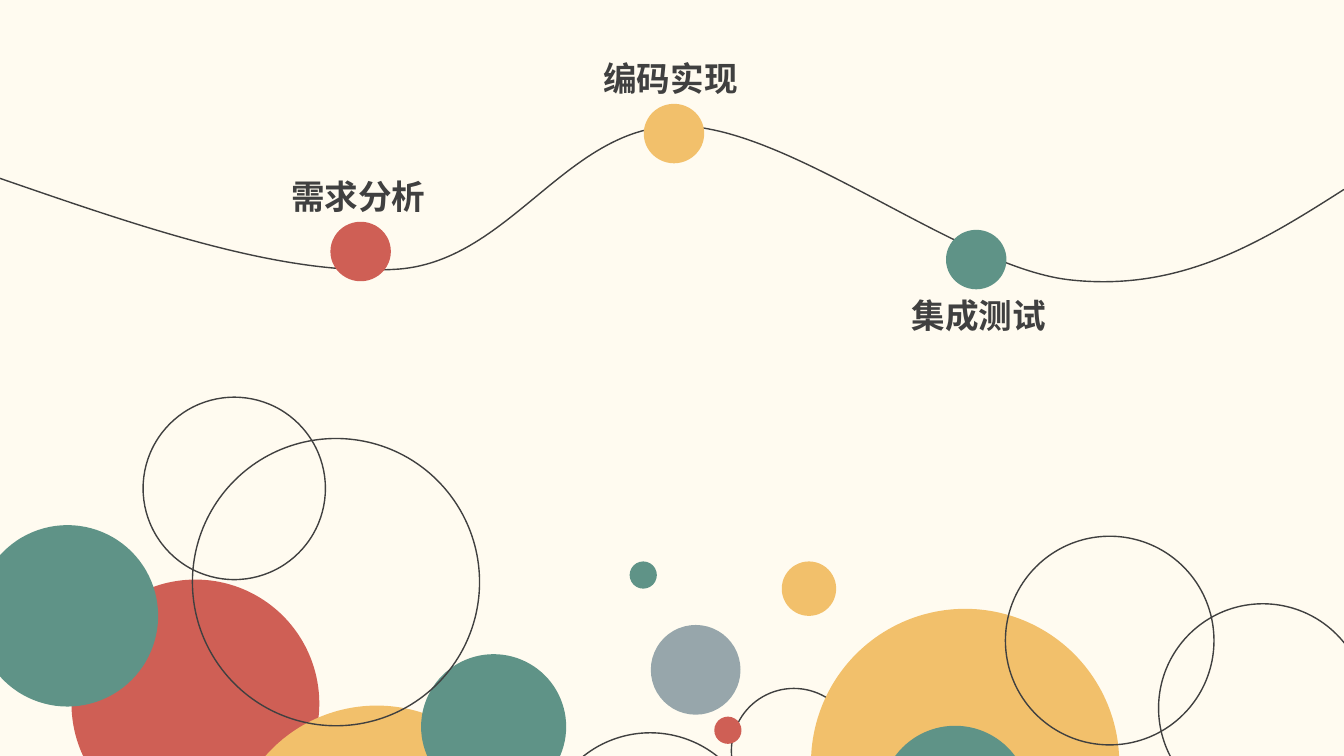
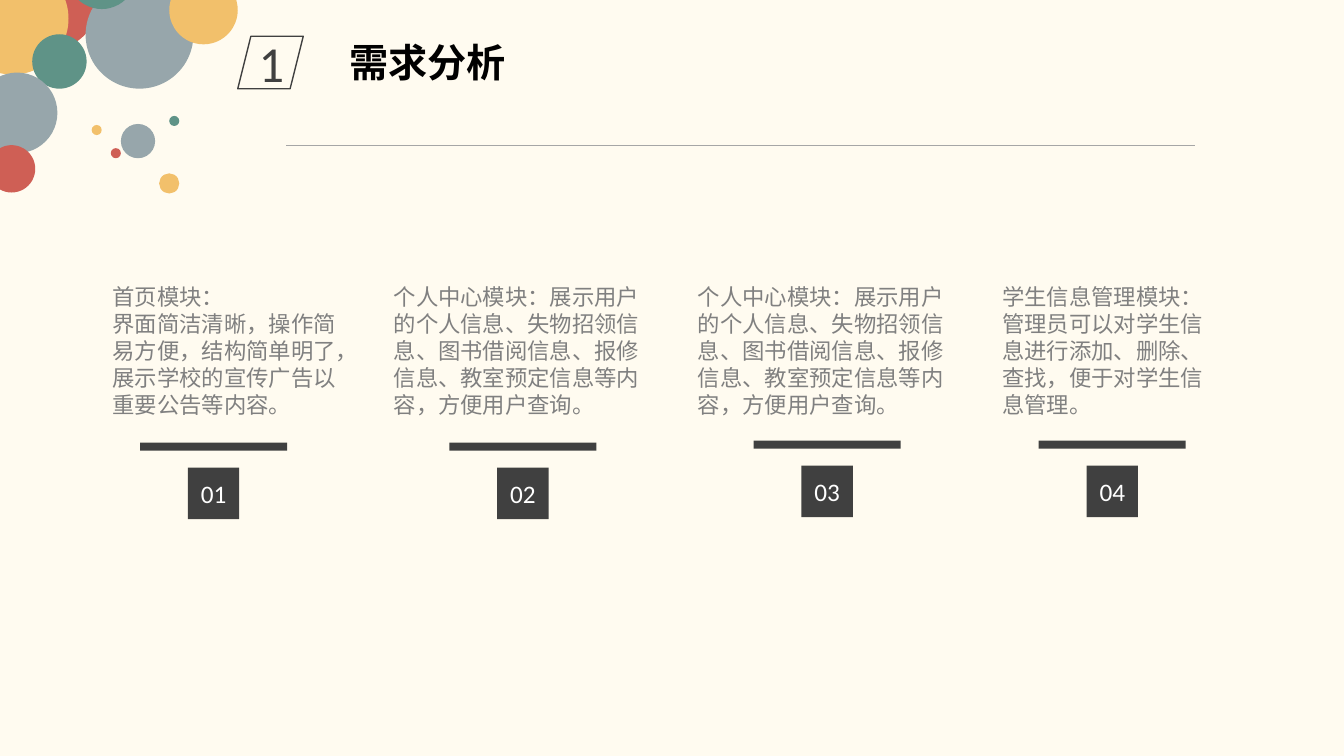
import pptx
import pptx.util
import pptx.dml.color
import pptx.enum.shapes
import pptx.enum.text
import pptx.oxml.ns
from lxml import etree

Pt = pptx.util.Pt
RGB = pptx.dml.color.RGBColor
KIND = pptx.enum.shapes.MSO_SHAPE
ALIGN = pptx.enum.text.PP_ALIGN
ANCHOR = pptx.enum.text.MSO_ANCHOR
FIT = pptx.enum.text.MSO_AUTO_SIZE
qn = pptx.oxml.ns.qn

PX = 9144  # 100 px to the inch
CREAM = RGB(0xFF, 0xFB, 0xF0)
RED = RGB(0xCF, 0x5F, 0x55)
GOLD = RGB(0xF2, 0xC0, 0x6B)
GREEN = RGB(0x5F, 0x93, 0x87)
SLATE = RGB(0x97, 0xA6, 0xAB)
DARK = RGB(0x40, 0x40, 0x40)
GREY = RGB(0x80, 0x80, 0x80)
PALE = RGB(0xA6, 0xA6, 0xA6)
WHITE = RGB(0xFF, 0xFF, 0xFF)
BLACK = RGB(0, 0, 0)
HAN, SANS, DIGIT = "Noto Sans CJK SC", "Arial", "Calibri"

# Circles: left, top, diameter, fill (None draws a ring)
BUBBLES = [
    (71, 575, 246, RED), (227, 700, 294, GOLD), (418, 649, 144, GREEN),
    (539, 727, 213, None), (191, 435, 285, None), (-23, 521, 180, GREEN),
    (726, 683, 124, None), (805, 604, 306, GOLD), (874, 720, 148, GREEN),
    (998, 532, 207, None), (1150, 599, 207, None), (646, 620, 89, SLATE),
    (709, 711, 27, RED), (625, 557, 27, GREEN), (776, 557, 54, GOLD),
    (142, 394, 181, None),
]
CORNER = [
    (4, -44, 93, RED), (-43, -37, 111, GOLD), (32, 34, 54, GREEN),
    (-23, 72, 80, SLATE), (85, -19, 107, SLATE), (67, -59, 68, GREEN),
    (-12, 144, 47, RED), (120, 123, 34, SLATE), (110, 147, 10, RED),
    (91, 124, 10, GOLD), (168, 115, 10, GREEN), (158, 172, 20, GOLD),
    (168, -24, 68, GOLD),
]
START = (0, 177)
# Curves: two control points and an end point each
CURVES = [
    ((142, 226), (283, 275), (396, 267)),
    ((508, 258), (564, 123), (676, 125)),
    ((787, 127), (955, 268), (1065, 278)),
    ((1174, 289), (1254, 239), (1334, 188)),
]
# Stops: name, dot place, dot fill, label place
STOPS = [
    ("需求分析", (328, 220), RED, (279, 170)),
    ("集成测试", (939, 228), GREEN, (895, 288)),
    ("编码实现", (639, 103), GOLD, (589, 53)),
]
USER = "个人中心模块：展示用户的个人信息、失物招领信息、图书借阅信息、报修信息、教室预定信息等内容，方便用户查询。"
# Modules: paragraphs, text left, width and height, bar left and top
MODULES = [
    (["首页模块：", "界面简洁清晰，操作简易方便，结构简单明了，展示学校的宣传广告以重要公告等内容。"],
     102, 246, 172, 139, 439),
    ([USER], 381, 277, 161, 446, 439),
    ([USER], 683, 277, 161, 748, 437),
    (["学生信息管理模块：管理员可以对学生信息进行添加、删除、查找，便于对学生信息管理。"],
     985, 238, 145, 1031, 437),
]
BAR_W, BAR_H, BOX, DROP = 146, 8, 51, 25


def emu(*sizes):
    return [round(size * PX) for size in sizes]


def paint(shape, fill=None, line=None):
    shape.shadow.inherit = False
    if fill is None:
        shape.fill.background()
    else:
        shape.fill.solid()
        shape.fill.fore_color.rgb = fill
    if line is None:
        shape.line.fill.background()
    else:
        shape.line.color.rgb = line
        shape.line.width = Pt(1)


def draw(shapes, kind, x, y, w, h, fill=None, line=None):
    shape = shapes.add_shape(kind, *emu(x, y, w, h))
    paint(shape, fill, line)
    return shape


def dots(shapes, rows):
    for x, y, size, fill in rows:
        draw(shapes, KIND.OVAL, x, y, size, size, fill, None if fill else DARK)


def write(shape, lines, size, font, color, bold=False, align=ALIGN.LEFT, anchor=ANCHOR.TOP):
    frame = shape.text_frame
    frame.word_wrap = True
    frame.vertical_anchor = anchor
    for i, line in enumerate(lines):
        para = frame.add_paragraph() if i else frame.paragraphs[0]
        para.alignment = align
        run = para.add_run()
        run.text = line
        run.font.size = Pt(size)
        run.font.name = font
        run.font.bold = bold
        run.font.color.rgb = color
        asian = etree.SubElement(run.font._element, qn("a:ea"))
        asian.set("typeface", font)


def note(slide, x, y, w, h, lines, *style):
    box = slide.shapes.add_textbox(*emu(x, y, w, h))
    write(box, lines, *style)
    box.text_frame.auto_size = FIT.SHAPE_TO_FIT_TEXT


def wave(slide):
    """Lay a freeform through the end points, then bend each leg into a cubic."""
    ends = [curve[-1] for curve in CURVES]
    build = slide.shapes.build_freeform(*START, scale=PX)
    build.add_line_segments(ends, close=False)
    shape = build.convert_to_shape()
    paint(shape, line=DARK)
    top = min(y for x, y in [START] + ends)
    legs = list(shape._element.iter(qn("a:lnTo")))
    for leg, curve in zip(legs, CURVES):
        cubic = etree.Element(qn("a:cubicBezTo"))
        for x, y in curve:
            etree.SubElement(cubic, qn("a:pt"), x=str(x), y=str(y - top))
        leg.getparent().replace(leg, cubic)


def road(deck):
    slide = deck.slides.add_slide(deck.slide_layouts[6])
    dots(slide.shapes, BUBBLES)
    wave(slide)
    for name, (x, y), fill, label in STOPS:
        draw(slide.shapes, KIND.OVAL, x, y, 60, 59, fill)
        note(slide, *label, 311, 50, [name], 24, HAN, DARK, True)


def needs(deck):
    slide = deck.slides.add_slide(deck.slide_layouts[5])
    shapes = slide.shapes
    title = shapes.title
    title.left, title.top, title.width, title.height = emu(337, 33, 493, 57)
    write(title, ["需求分析"], 28, SANS, BLACK, True, ALIGN.LEFT, ANCHOR.MIDDLE)
    dots(shapes.add_group_shape().shapes, CORNER)

    rule = shapes.add_connector(pptx.enum.shapes.MSO_CONNECTOR.STRAIGHT,
                                *emu(284, 144, 1186, 144))
    rule.line.color.rgb = PALE
    rule.line.width = Pt(0.5)
    etree.SubElement(rule._element.spPr, qn("a:effectLst"))

    mark = draw(shapes, KIND.PARALLELOGRAM, 236, 36, 65, 52, line=DARK)
    write(mark, ["1"], 36, DIGIT, DARK, False, ALIGN.CENTER, ANCHOR.MIDDLE)

    for i, (lines, x, w, h, left, top) in enumerate(MODULES, 1):
        note(slide, x, 276, w, h, lines, 16, SANS, GREY)
        draw(shapes, KIND.RECTANGLE, left, top, BAR_W, BAR_H, DARK)
        box = draw(shapes, KIND.RECTANGLE, left + (BAR_W - BOX) / 2, top + DROP, BOX, BOX, DARK)
        write(box, [f"{i:02}"], 18, DIGIT, WHITE, False, ALIGN.CENTER, ANCHOR.MIDDLE)


def main():
    deck = pptx.Presentation()
    deck.slide_width, deck.slide_height = emu(1334, 750)
    back = deck.slide_master.background.fill
    back.solid()
    back.fore_color.rgb = CREAM
    road(deck)
    needs(deck)
    deck.save("out.pptx")


if __name__ == "__main__":
    main()
